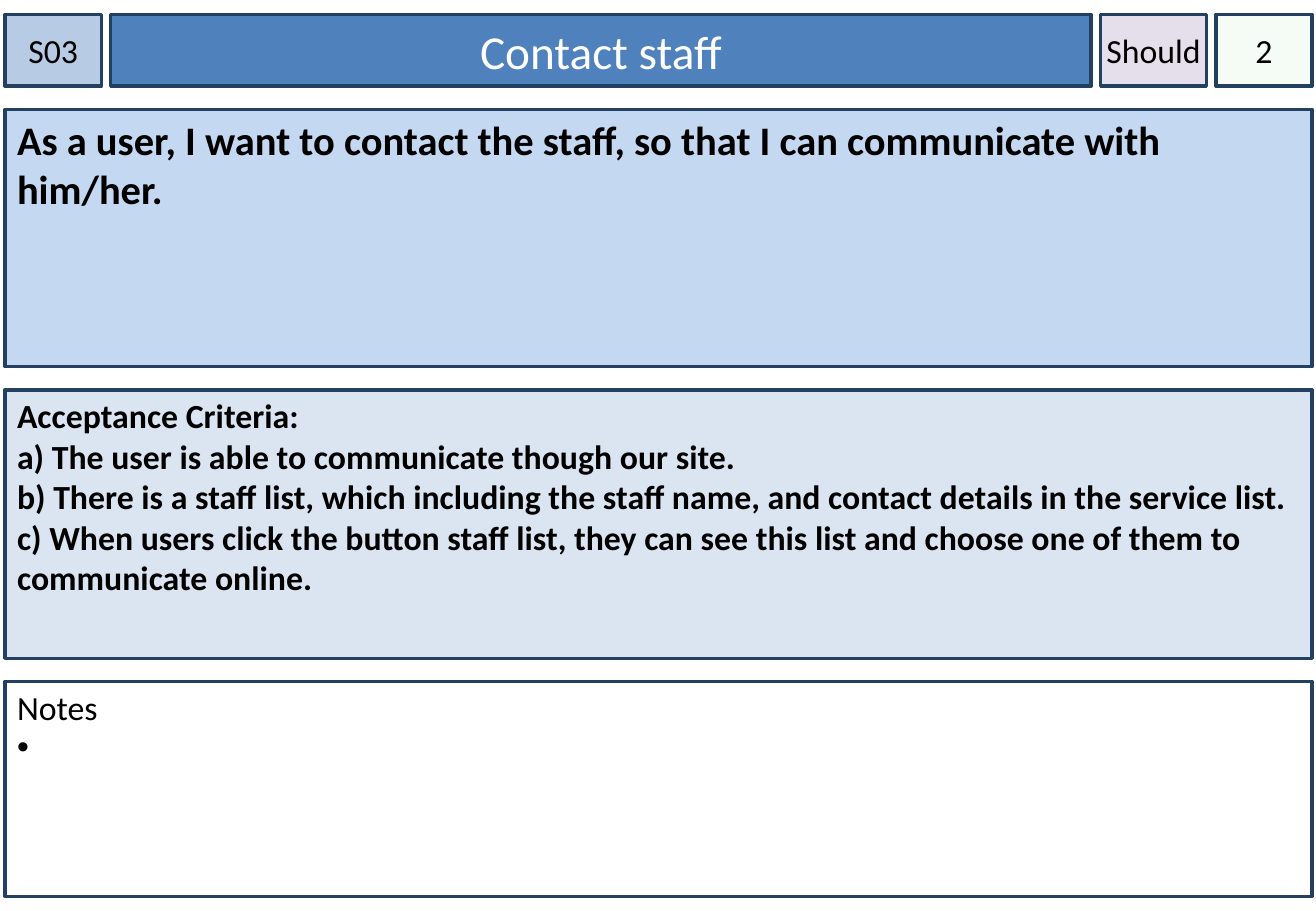
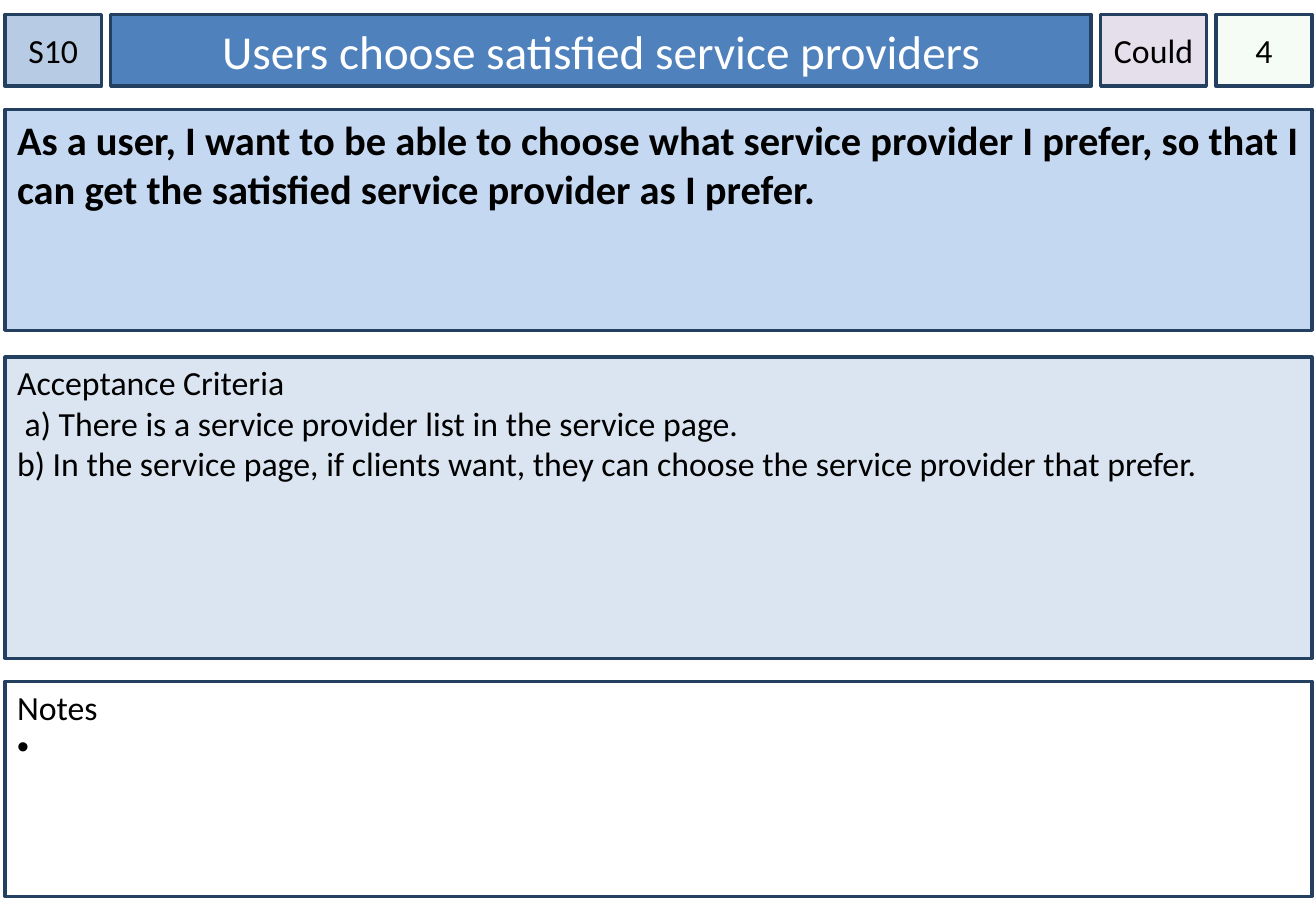
import lxml.etree
import pptx
import pptx.dml.color
import pptx.enum.shapes
import pptx.enum.text
import pptx.oxml.ns
import pptx.util

Pt = pptx.util.Pt
ALIGN = pptx.enum.text.PP_ALIGN
ANCHOR = pptx.enum.text.MSO_ANCHOR

LEFT, GAP = 3, 5.6
HEADER_TOP, HEADER_HEIGHT = 8.6, 42.5
CODE_WIDTH, TITLE_WIDTH, PRIORITY_WIDTH, POINTS_WIDTH = 57, 581, 62.6, 57
BODY_WIDTH = 774.4
STORY_TOP, CRITERIA_BOTTOM = 64.8, 390.2
NOTES_TOP, NOTES_HEIGHT = 403.9, 127.4


def color(value):
    return pptx.dml.color.RGBColor.from_string(value)


def add_element(parent, tag, **attributes):
    return lxml.etree.SubElement(parent, pptx.oxml.ns.qn(tag), attributes)


class StoryCards:
    FONT = "Calibri"
    BORDER = "244061"
    TEXT = "000000"

    def __init__(self):
        self.deck = pptx.Presentation()
        self.deck.slide_width, self.deck.slide_height = Pt(779.76), Pt(540)
        self.slide = None

    def new_slide(self):
        self.slide = self.deck.slides.add_slide(self.deck.slide_layouts[5])

    def format_box(self, box, fill, side_inset, top_inset, anchor):
        box.fill.solid()
        box.fill.fore_color.rgb = color(fill)
        box.line.color.rgb = color(self.BORDER)
        box.line.width = Pt(2)
        frame = box.text_frame
        frame.word_wrap = True
        frame.auto_size = pptx.enum.text.MSO_AUTO_SIZE.NONE
        frame.vertical_anchor = anchor
        frame.margin_left = frame.margin_right = Pt(side_inset)
        frame.margin_top, frame.margin_bottom = Pt(top_inset), Pt(3.6)

    def add_lines(self, box, lines, size, align, bold=False, text_color=TEXT):
        frame = box.text_frame
        for index, line in enumerate(lines):
            para = frame.add_paragraph() if index else frame.paragraphs[0]
            para.alignment = align
            span = para.add_run()
            span.text = line
            span.font.name = self.FONT
            span.font.size = Pt(size)
            span.font.bold = bold
            span.font.color.rgb = color(text_color)

    def title(self, text, left):
        box = self.slide.shapes.title
        box.left, box.top = Pt(left), Pt(HEADER_TOP)
        box.width, box.height = Pt(TITLE_WIDTH), Pt(HEADER_HEIGHT)
        self.format_box(box, "4F81BD", 7.2, 3.6, ANCHOR.MIDDLE)
        self.add_lines(box, [text], 28, ALIGN.CENTER, text_color="FFFFFF")

    def rectangle(self, left, top, width, height):
        box = self.slide.shapes.add_shape(
            pptx.enum.shapes.MSO_SHAPE.RECTANGLE,
            Pt(left), Pt(top), Pt(width), Pt(height))
        box.shadow.inherit = False
        return box

    def badge(self, text, left, width, fill):
        box = self.rectangle(left, HEADER_TOP, width, HEADER_HEIGHT)
        self.format_box(box, fill, 0, 3.6, ANCHOR.MIDDLE)
        self.add_lines(box, [text], 20, ALIGN.CENTER)
        return box

    def panel(self, lines, top, height, fill, size=20, bold=False, top_inset=2.9):
        box = self.rectangle(LEFT, top, BODY_WIDTH, height)
        self.format_box(box, fill, 7.2, top_inset, ANCHOR.TOP)
        self.add_lines(box, lines, size, ALIGN.LEFT, bold)
        return box

    def set_opacity(self, box, percent):
        fill = box._element.spPr.find(pptx.oxml.ns.qn("a:solidFill"))
        add_element(fill[0], "a:alpha", val=str(percent * 1000))

    def set_bullet(self, para):
        properties = para._p.get_or_add_pPr()
        properties.set("marL", str(Pt(14.4)))
        properties.set("indent", str(-Pt(14.4)))
        bullet_color = add_element(properties, "a:buClr")
        add_element(bullet_color, "a:srgbClr", val=self.TEXT)
        add_element(properties, "a:buFont", typeface="Arial")
        add_element(properties, "a:buChar", char="•")

    def card(self, code, title, priority, points, story, story_height,
             criteria, criteria_top, criteria_bold):
        self.new_slide()
        title_left = LEFT + CODE_WIDTH + GAP
        priority_left = title_left + TITLE_WIDTH + GAP
        points_left = priority_left + PRIORITY_WIDTH + GAP

        self.badge(code, LEFT, CODE_WIDTH, "B7CCE4")
        self.title(title, title_left)
        self.badge(priority, priority_left, PRIORITY_WIDTH, "E5DFEC")
        points_box = self.badge(points, points_left, POINTS_WIDTH, "CCF0CD")
        self.set_opacity(points_box, 20)

        self.panel([story], STORY_TOP, story_height, "C5D8F1",
                   size=24, bold=True, top_inset=3.6)
        self.panel(criteria, criteria_top, CRITERIA_BOTTOM - criteria_top,
                   "DAE5F1", bold=criteria_bold)
        notes = self.panel(["Notes", " "], NOTES_TOP, NOTES_HEIGHT, "FFFFFF")
        self.set_bullet(notes.text_frame.paragraphs[1])


def main():
    cards = StoryCards()
    cards.card(
        "S03", "Contact staff", "Should", "2",
        story="As a user, I want to contact the staff, so that I can "
              "communicate with him/her.",
        story_height=152.6,
        criteria=[
            "Acceptance Criteria:",
            "a) The user is able to communicate though our site.",
            "b) There is a staff list, which including the staff name, and "
            "contact details in the service list.",
            "c) When users click the button staff list, they can see this "
            "list and choose one of them to communicate online.",
        ],
        criteria_top=231.1, criteria_bold=True)
    cards.card(
        "S10", "Users choose satisfied service providers", "Could", "4",
        story="As a user, I want to be able to choose what service provider "
              "I prefer, so that I can get the satisfied service provider "
              "as I prefer.",
        story_height=131,
        criteria=[
            "Acceptance Criteria",
            " a) There is a service provider list in the service page.",
            "b) In the service page, if clients want, they can choose the "
            "service provider that prefer.",
        ],
        criteria_top=211.7, criteria_bold=False)
    cards.deck.save("out.pptx")


if __name__ == "__main__":
    main()
